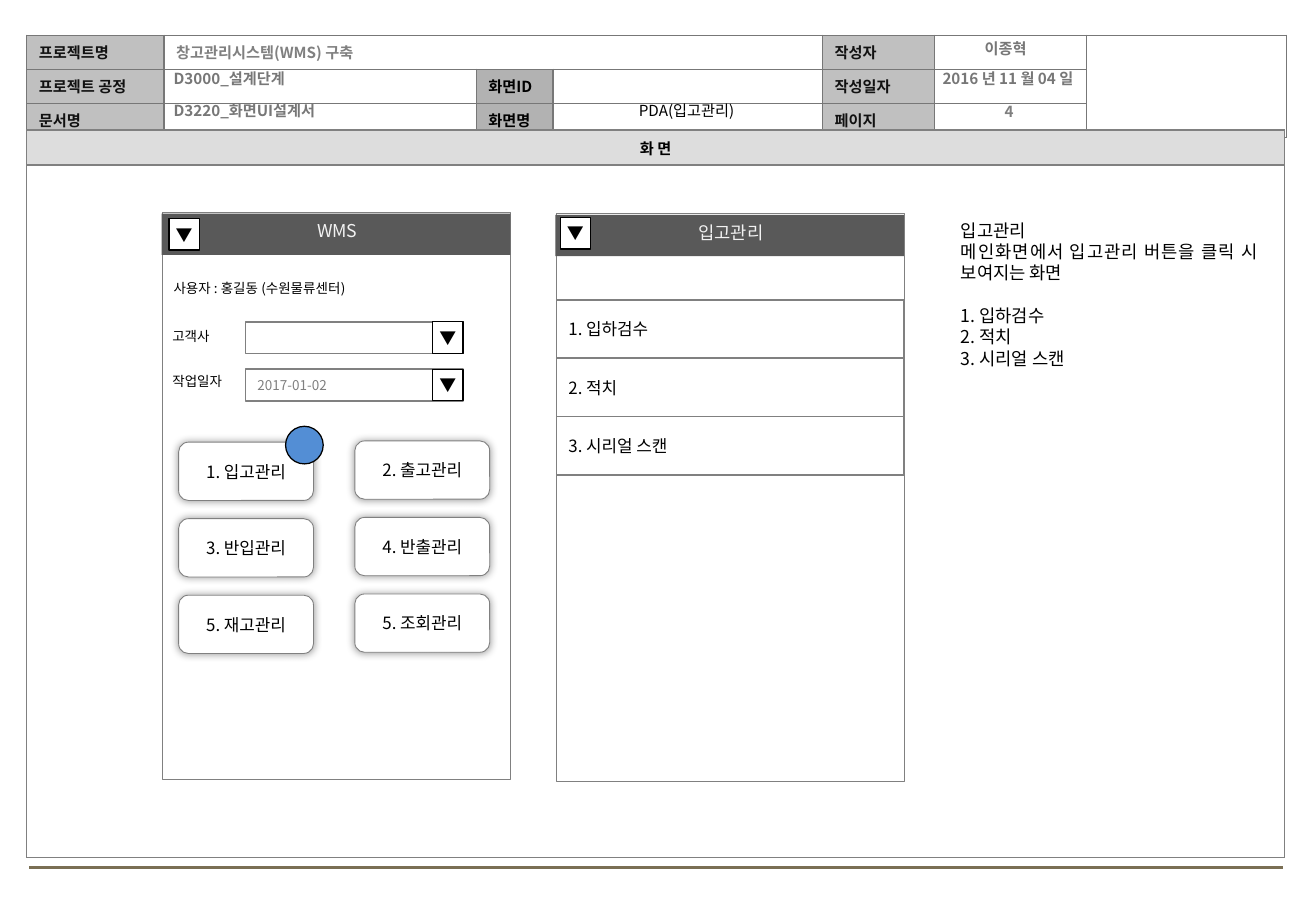
from lxml import etree
from pptx import Presentation
from pptx.dml.color import RGBColor
from pptx.enum.shapes import MSO_CONNECTOR, MSO_SHAPE
from pptx.enum.text import MSO_ANCHOR, PP_ALIGN
from pptx.oxml.ns import qn
from pptx.util import Inches, Pt

RECTANGLE, PROCESS = MSO_SHAPE.RECTANGLE, MSO_SHAPE.FLOWCHART_PROCESS
ROUNDED, OVAL = MSO_SHAPE.ROUNDED_RECTANGLE, MSO_SHAPE.OVAL
LEFT, CENTER, JUSTIFY = PP_ALIGN.LEFT, PP_ALIGN.CENTER, PP_ALIGN.JUSTIFY
TOP, MIDDLE = MSO_ANCHOR.TOP, MSO_ANCHOR.MIDDLE
FONT = "Noto Sans CJK KR"
COLORS = {
    "black": "000000", "white": "FFFFFF", "label": "111111", "grid": "777777",
    "gray": "808080", "page": "7F7F7F", "label_fill": "C0C0C0", "screen_fill": "B2B2B2",
    "band": "DDDDDD", "bar": "595959", "bar_text": "F2F2F2", "marker": "538ED5",
    "footer": "7A6F54",
}

HEADER_COLUMNS = [1.13, 2.57, 0.63, 2.22, 0.92, 1.25, 1.65]
HEADER_ROWS = [0.28] * 3
HEADER_CELLS = {
    (0, 0): ("프로젝트명", "label", "label_fill"),
    (1, 0): ("프로젝트 공정", "label", "label_fill"),
    (2, 0): ("문서명", "label", "label_fill"),
    (0, 1): ("창고관리시스템(WMS) 구축", "gray", None),
    (1, 2): ("화면ID", "black", "screen_fill"),
    (2, 2): ("화면명", "black", "screen_fill"),
    (0, 4): ("작성자", "label", "label_fill"),
    (1, 4): ("작성일자", "label", "label_fill"),
    (2, 4): ("페이지", "label", "label_fill"),
}
HEADER_MERGES = [((0, 1), (0, 3)), ((0, 6), (2, 6))]
BODY_CELLS = {(0, 0): ("화 면", "black", "band")}
HEADER_VALUES = [
    ("D3000_설계단계", (1.33, 0.52, 5.42, 0.25), "grid", True, LEFT),
    ("D3220_화면UI설계서", (1.33, 0.78, 5.41, 0.25), "grid", True, LEFT),
    ("4", (7.68, 0.79, 1.25, 0.25), "page", True, CENTER),
    ("PDA(입고관리)", (4.56, 0.78, 2.18, 0.25), "black", False, CENTER),
    ("2016 년 11 월 04 일", (7.51, 0.52, 1.57, 0.25), "grid", True, CENTER),
    ("이종혁", (7.49, 0.27, 1.57, 0.25), "grid", True, CENTER),
]
SCREENS = [("입고관리", 4.57, 1.76), ("WMS", 1.33, 1.75)]
MENU_ITEMS = ["1. 입하검수", "2. 적치", "3. 시리얼 스캔"]
FIELD_LABELS = [
    ("사용자 : 홍길동 (수원물류센터)", (1.33, 2.25, 1.8, 0.24)),
    ("고객사", (1.32, 2.65, 0.54, 0.24)),
    ("작업일자", (1.32, 3.02, 0.65, 0.24)),
]
FIELDS = [("", 2.65), ("2017-01-02", 3.04)]
BUTTONS = ["1. 입고관리", "2. 출고관리", "3. 반입관리", "4. 반출관리", "5. 재고관리", "5. 조회관리"]
DROPDOWNS = [(4.61, 1.79), (1.39, 1.8), (3.56, 2.65), (3.56, 3.04)]
DESCRIPTION = ["입고관리", "메인화면에서 입고관리 버튼을 클릭 시 보여지는 화면"] + MENU_ITEMS
DESCRIPTION_PITCH = 12.6


def color(name):
    return RGBColor.from_string(COLORS[name])


def write(text_frame, lines, size, color_name, alignment=LEFT, bold=False):
    for index, line in enumerate(lines):
        paragraph = text_frame.add_paragraph() if index else text_frame.paragraphs[0]
        paragraph.text = line
        paragraph.alignment = alignment
        for run in paragraph.runs:
            run.font.size = Pt(size)
            run.font.bold = bold
            run.font.color.rgb = color(color_name)
            run.font.name = FONT
            east_asian = etree.Element(qn("a:ea"), typeface=FONT)
            run.font._element.find(qn("a:latin")).addnext(east_asian)


def add_text(slide, lines, box, size, color_name, alignment=LEFT, bold=False, wrap=True, anchor=MIDDLE):
    text_frame = slide.shapes.add_textbox(*map(Inches, box)).text_frame
    text_frame.word_wrap = wrap
    text_frame.vertical_anchor = anchor
    write(text_frame, lines, size, color_name, alignment, bold)
    return text_frame


def add_box(slide, kind, box, fill=None, line=None, width=1):
    shape = slide.shapes.add_shape(kind, *map(Inches, box))
    shape.shadow.inherit = False
    if fill:
        shape.fill.solid()
        shape.fill.fore_color.rgb = color(fill)
    else:
        shape.fill.background()
    if line:
        shape.line.color.rgb = color(line)
        shape.line.width = Pt(width)
    else:
        shape.line.fill.background()
    shape.text_frame.vertical_anchor = MIDDLE
    return shape


def add_glow(shape):
    effects = shape._element.spPr.find(qn("a:effectLst"))
    shadow = etree.SubElement(effects, qn("a:outerShdw"), blurRad=str(Pt(5)), dist="0", dir="0")
    shade = etree.SubElement(shadow, qn("a:srgbClr"), val=COLORS["black"])
    etree.SubElement(shade, qn("a:alpha"), val="40000")


def set_borders(cell, color_name):
    properties = cell._tc.get_or_add_tcPr()
    for index, side in enumerate(("lnL", "lnR", "lnT", "lnB")):
        border = etree.Element(qn(f"a:{side}"), w=str(Pt(1)))
        fill = etree.SubElement(border, qn("a:solidFill"))
        etree.SubElement(fill, qn("a:srgbClr"), val=COLORS[color_name])
        properties.insert(index, border)


def add_grid(slide, left, top, columns, rows, cells, border, alignment=LEFT, merges=()):
    box = (left, top, sum(columns), sum(rows))
    table = slide.shapes.add_table(len(rows), len(columns), *map(Inches, box)).table
    table.first_row = table.horz_banding = False
    for column, width in zip(table.columns, columns):
        column.width = Inches(width)
    for row, height in zip(table.rows, rows):
        row.height = Inches(height)
    for start, end in merges:
        table.cell(*start).merge(table.cell(*end))
    for row in range(len(rows)):
        for column in range(len(columns)):
            cell = table.cell(row, column)
            text, text_color, fill = cells.get((row, column), ("", "black", None))
            cell.margin_top = cell.margin_bottom = Inches(0.03)
            cell.vertical_anchor = MIDDLE
            if fill:
                cell.fill.solid()
                cell.fill.fore_color.rgb = color(fill)
            else:
                cell.fill.background()
            if text:
                write(cell.text_frame, [text], 9, text_color, alignment, True)
            else:
                etree.SubElement(cell.text_frame.paragraphs[0]._p, qn("a:endParaRPr"), sz="900")
            if not cell.is_spanned:
                set_borders(cell, border)


def add_frame(slide):
    footer = slide.shapes.add_connector(MSO_CONNECTOR.STRAIGHT, *map(Inches, (0.24, 7.14, 10.56, 7.14)))
    footer.line.color.rgb = color("footer")
    footer.line.width = Pt(1.75)
    etree.SubElement(footer._element.spPr, qn("a:effectLst"))
    add_grid(slide, 0.22, 0.29, HEADER_COLUMNS, HEADER_ROWS, HEADER_CELLS, "grid", merges=HEADER_MERGES)
    add_grid(slide, 0.22, 1.07, [10.35], [0.29, 5.7], BODY_CELLS, "gray", CENTER)
    for text, box, text_color, bold, alignment in HEADER_VALUES:
        add_text(slide, [text], box, 9, text_color, alignment, bold)


def add_screens(slide):
    for title, left, top in SCREENS:
        add_box(slide, PROCESS, (left + 0.01, top, 2.86, 4.67), "white", "gray", 0.5)
        add_box(slide, RECTANGLE, (left, top + 0.01, 2.87, 0.34), "bar")
        add_text(slide, [title], (left + 0.02, top + 0.01, 2.85, 0.28), 10.5, "bar_text", CENTER)
    for index, item in enumerate(MENU_ITEMS):
        shape = add_box(slide, RECTANGLE, (4.58, 2.47 + 0.48 * index, 2.86, 0.48), None, "gray")
        write(shape.text_frame, [item], 10, "black")
    for text, box in FIELD_LABELS:
        add_text(slide, [text], box, 8, "black", wrap=False)
    for text, top in FIELDS:
        field = add_box(slide, RECTANGLE, (2.02, top, 1.79, 0.26), None, "gray")
        if text:
            write(field.text_frame, [text], 8, "gray")
    for index, text in enumerate(BUTTONS):
        row, column = divmod(index, 2)
        box = (1.47 + 1.45 * column, 3.64 + 0.63 * row - 0.01 * column, 1.11, 0.48)
        button = add_box(slide, ROUNDED, box, "white", "gray", 0.5)
        add_glow(button)
        write(button.text_frame, [text], 10, "black", CENTER)
    add_box(slide, OVAL, (2.35, 3.51, 0.31, 0.31), "marker", "black", 0.75)
    for left, top in DROPDOWNS:
        dropdown = add_box(slide, RECTANGLE, (left, top, 0.25, 0.26), "white", "black", 0.75)
        text_frame = dropdown.text_frame
        text_frame.margin_left = text_frame.margin_right = Inches(0.02)
        text_frame.margin_top = text_frame.margin_bottom = Inches(0.04)
        text_frame.word_wrap = False
        write(text_frame, ["▼"], 10, "black", CENTER)


def main():
    """Build the warehouse screen design slide."""
    presentation = Presentation()
    presentation.slide_width, presentation.slide_height = Inches(10.83), Inches(7.5)
    slide = presentation.slides.add_slide(presentation.slide_layouts[6])
    add_frame(slide)
    add_screens(slide)
    description = add_text(slide, DESCRIPTION, (7.81, 1.76, 2.64, 1.34), 10.5, "black", JUSTIFY, anchor=TOP)
    for paragraph in description.paragraphs:
        paragraph.line_spacing = Pt(DESCRIPTION_PITCH)
    description.paragraphs[2].space_before = Pt(DESCRIPTION_PITCH)
    presentation.save("out.pptx")


if __name__ == "__main__":
    main()
